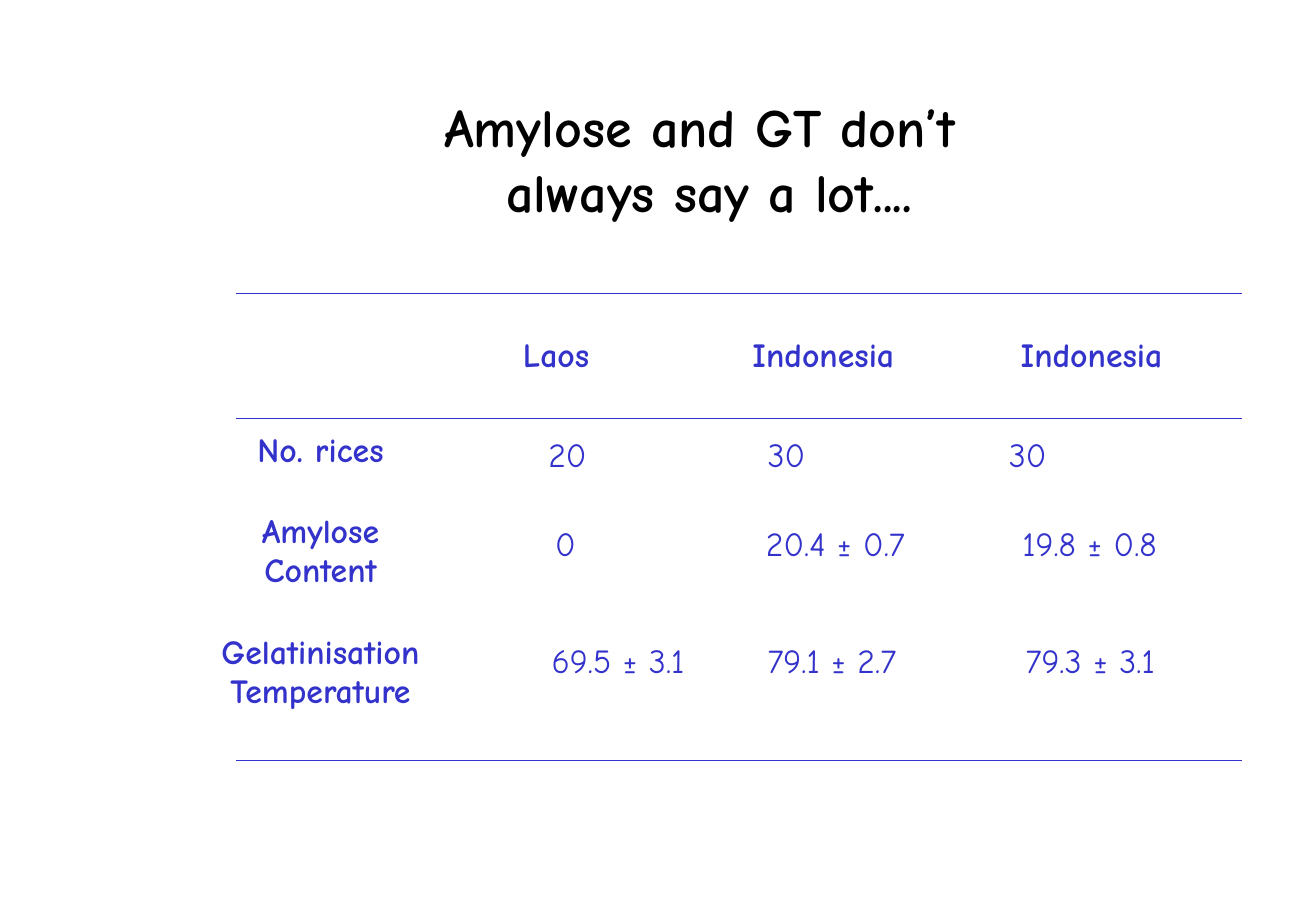
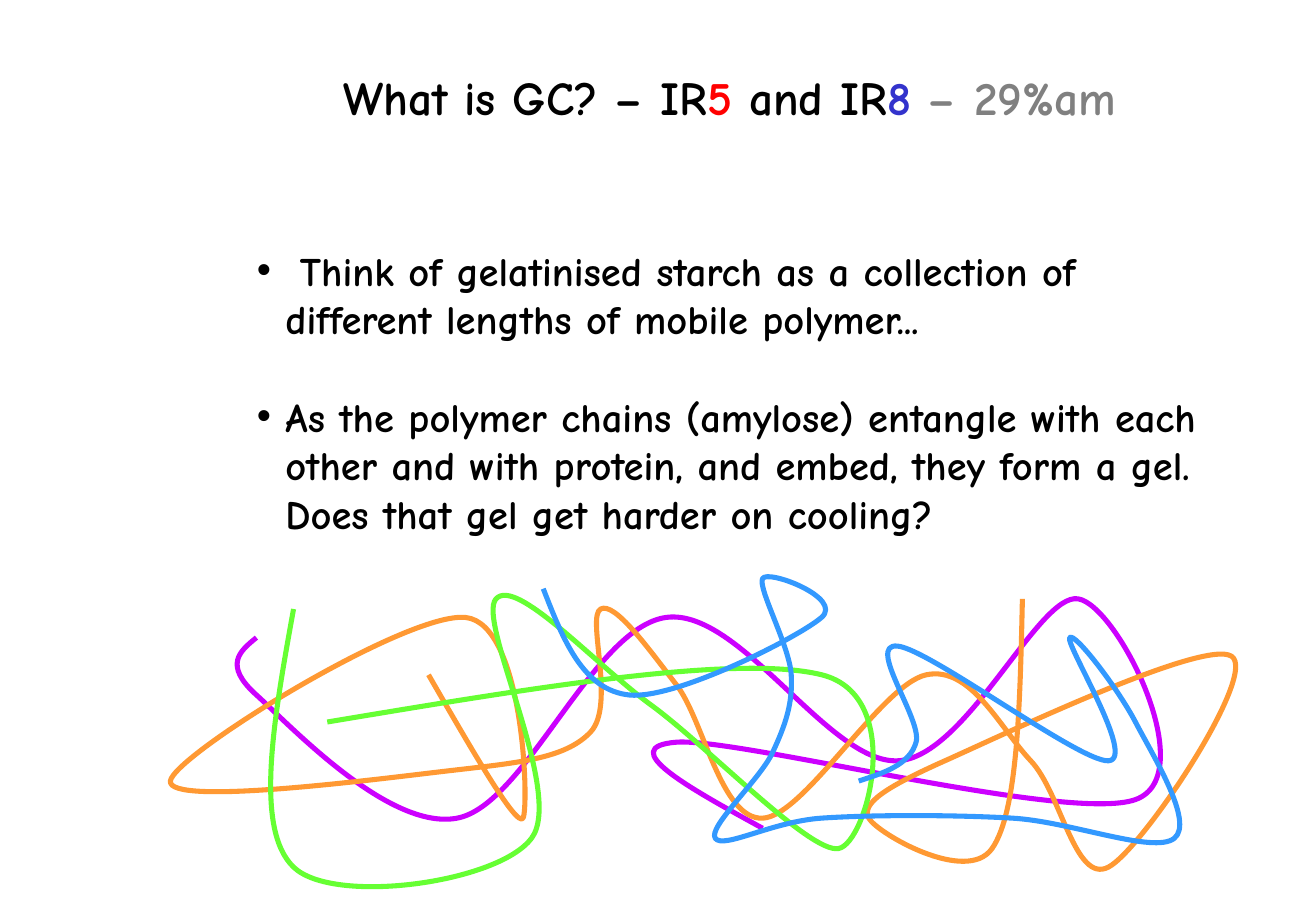
"""Two slides on rice starch: a table of amylose and GT, and a sketch of tangled polymers."""
from lxml import etree
from pptx import Presentation
from pptx.dml.color import RGBColor
from pptx.enum.shapes import MSO_CONNECTOR
from pptx.enum.text import MSO_ANCHOR, MSO_AUTO_SIZE, PP_ALIGN
from pptx.oxml.ns import qn
from pptx.util import Pt

LEFT, CENTER = PP_ALIGN.LEFT, PP_ALIGN.CENTER
TOP, NO_FIT = MSO_ANCHOR.TOP, MSO_AUTO_SIZE.NONE
STRAIGHT = MSO_CONNECTOR.STRAIGHT
FONT = "Comic Neue"
BLACK, BLUE, RED, GREY = "000000", "3333CC", "FF0000", "808080"


def rgb(color):
    return RGBColor.from_string(color)


def write(p, text, size=20, color=BLACK, bold=True, align=LEFT):
    p.alignment = align
    p.space_before = Pt(0)
    for i, line in enumerate(text.split("\n")):
        if i:
            p.add_line_break()
        r = p.add_run()
        r.text = line
        r.font.name = FONT
        r.font.size = Pt(size)
        r.font.bold = bold
        r.font.color.rgb = rgb(color)


prs = Presentation()
prs.slide_width, prs.slide_height = Pt(780), Pt(540)

titles = [
    (5, 89, 49, 90, 32, [("Amylose and GT don’t \nalways say a lot....", BLACK)]),
    (1, 101, 37, 40, 28, [("What is GC? – IR", BLACK), ("5", RED), (" and IR", BLACK),
                          ("8 ", BLUE), ("– 29%am", GREY)]),
]
for layout, left, top, height, size, runs in titles:
    s = prs.slides.add_slide(prs.slide_layouts[layout])
    sp = s.shapes.title
    sp.left, sp.top, sp.width, sp.height = Pt(left), Pt(top), Pt(663), Pt(height)
    sp.text_frame.auto_size = NO_FIT
    for text, color in runs:
        write(sp.text_frame.paragraphs[0], text, size=size, color=color, align=CENTER)

table_slide, gel_slide = prs.slides

col_widths = [178, 140, 150, 144]
rows = [
    (82, 26, ["", "Laos", "Indonesia", "Indonesia"], [0, 8, 4, 13]),
    (48, 3, ["No. rices", "20", "30", "30"], [0, 23, 13, 6]),
    (72, 8, ["Amylose\nContent", "0", "20.4 ± 0.7", "19.8 ± 0.8"], [0, 27, 12, 14]),
    (75, 5, ["Gelatinisation\nTemperature", "69.5 ± 3.1", "79.1 ± 2.7", "79.3 ± 3.1"],
     [0, 25, 13, 16]),
]
tbl = table_slide.shapes.add_table(len(rows), len(col_widths), Pt(124), Pt(174),
                                   Pt(sum(col_widths)), Pt(277)).table
tbl.first_row = tbl.horz_banding = False
for col, width in zip(tbl.columns, col_widths):
    col.width = Pt(width)
for i, (height, inset_top, texts, insets) in enumerate(rows):
    tbl.rows[i].height = Pt(height)
    for j, (text, inset) in enumerate(zip(texts, insets)):
        is_label = j == 0
        cell = tbl.cell(i, j)
        cell.fill.background()
        cell.vertical_anchor = TOP
        cell.margin_left = Pt(inset)
        cell.margin_right = Pt(46 if is_label else 0)
        cell.margin_top = Pt(0 if is_label else inset_top)
        cell.margin_bottom = Pt(0)
        write(cell.text_frame.paragraphs[0], text, color=BLUE,
              bold=is_label or i == 0, align=CENTER if is_label else LEFT)

for y in (174, 248, 451):
    rule = table_slide.shapes.add_connector(STRAIGHT, Pt(140), Pt(y), Pt(736), Pt(y))
    rule.line.color.rgb = rgb(BLUE)
    rule.line.width = Pt(0.75)
    etree.SubElement(rule._element.spPr, qn("a:effectLst"))

bullets = [
    " Think of gelatinised starch as a collection of different lengths of mobile polymer...",
    "As the polymer chains (amylose) entangle with each other and with protein, "
    "and embed, they form a gel. Does that gel get harder on cooling?",
]
sp = gel_slide.placeholders[1]
sp.left, sp.top, sp.width, sp.height = Pt(145), Pt(142), Pt(580), Pt(180)
tf = sp.text_frame
tf.auto_size = NO_FIT
for i, text in enumerate(bullets):
    p = tf.add_paragraph() if i else tf.paragraphs[0]
    write(p, text, size=24)
    p.space_before = Pt(29 * i)
    pPr = p._p.get_or_add_pPr()
    pPr.set("marL", str(Pt(17)))
    pPr.set("indent", str(Pt(-17)))

chains = [
    ("CC00FF", [(152, 378), (152, 412), (271, 485), (395, 366), (532, 451), (639, 355),
                (673, 474), (401, 440), (452, 491)]),
    ("FF9933", [(254, 400), (310, 485), (276, 366), (101, 463), (265, 457), (350, 434),
                (356, 361), (401, 406), (452, 485), (549, 400), (611, 451), (657, 514),
                (730, 389), (560, 451), (515, 485), (588, 503), (606, 355)]),
    ("66FF33", [(174, 361), (174, 514), (315, 497), (294, 355), (386, 418), (497, 503),
                (487, 400), (194, 428)]),
    ("3399FF", [(322, 349), (373, 412), (487, 366), (452, 343), (469, 400), (458, 446),
                (424, 497), (487, 485), (600, 485), (696, 497), (673, 428), (634, 378),
                (657, 451), (532, 383), (543, 440), (509, 463)]),
]
for color, knots in chains:
    last = len(knots) - 1
    slopes = [((c[0] - a[0]) / 6, (c[1] - a[1]) / 6) for a, c in zip(knots, knots[2:])]
    slopes = [None] + slopes + [None]
    points = []
    for i in range(last):
        (x0, y0), (x1, y1) = knots[i], knots[i + 1]
        if i > 0:
            out = (x0 + slopes[i][0], y0 + slopes[i][1])
        if i + 1 < last:
            into = (x1 - slopes[i + 1][0], y1 - slopes[i + 1][1])
        else:
            into = ((out[0] + x1) / 2, (out[1] + y1) / 2)
        if i == 0:
            out = ((x0 + into[0]) / 2, (y0 + into[1]) / 2)
        points += [out, into, (x1, y1)]

    start = knots[0]
    builder = gel_slide.shapes.build_freeform(Pt(start[0]), Pt(start[1]))
    builder.add_line_segments([(Pt(x), Pt(y)) for x, y in points], close=False)
    sp = builder.convert_to_shape()
    sp.shadow.inherit = False
    sp.fill.background()
    sp.line.color.rgb = rgb(color)
    sp.line.width = Pt(3)

    segments = list(sp._element.iter(qn("a:lnTo")))
    for curve, second, third in zip(segments[::3], segments[1::3], segments[2::3]):
        curve.tag = qn("a:cubicBezTo")
        for extra in (second, third):
            curve.append(extra[0])
            extra.getparent().remove(extra)

prs.save("out.pptx")
